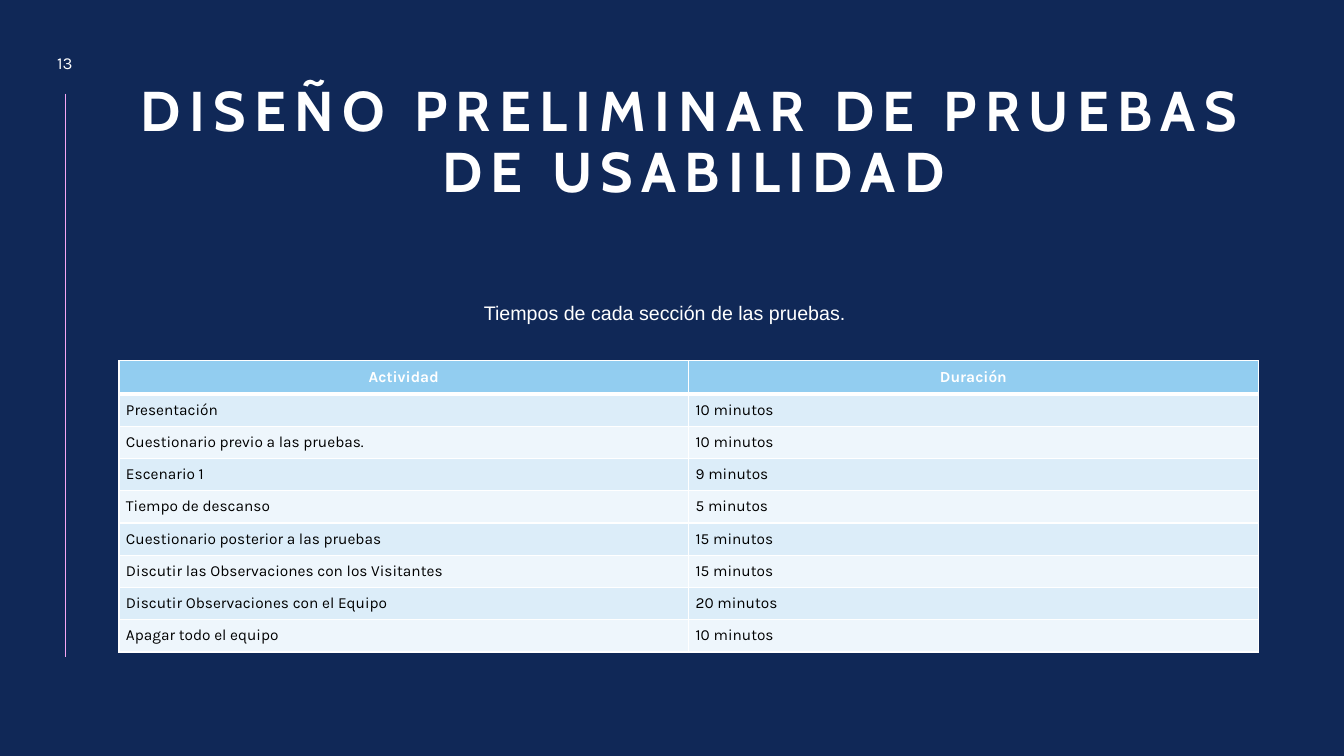
from dataclasses import dataclass
from lxml.etree import SubElement
from pptx import Presentation
from pptx.dml.color import RGBColor
from pptx.enum.shapes import MSO_CONNECTOR
from pptx.enum.text import MSO_ANCHOR, PP_ALIGN
from pptx.oxml.ns import qn
from pptx.util import Inches, Pt

TITLE = "DISEÑO PRELIMINAR DE PRUEBAS DE USABILIDAD"
CAPTION = "Tiempos de cada sección de las pruebas."
NUMBER = "13"
ROWS = [
    ("Actividad", "Duración"),
    ("Presentación", "10 minutos"),
    ("Cuestionario previo a las pruebas.", "10 minutos"),
    ("Escenario 1", "9 minutos"),
    ("Tiempo de descanso", "5 minutos"),
    ("Cuestionario posterior a las pruebas", "15 minutos"),
    ("Discutir las Observaciones con los Visitantes", "15 minutos"),
    ("Discutir Observaciones con el Equipo", "20 minutos"),
    ("Apagar todo el equipo", "10 minutos"),
]


@dataclass(frozen=True)
class Theme:
    back: str = "102857"
    white: str = "FFFFFF"
    black: str = "000000"
    rule: str = "F6A6F4"
    header: str = "92CDF0"
    bands: tuple = ("DCEDF9", "EEF6FC")
    title_size: int = 40
    caption_size: int = 14
    number_size: int = 12
    cell_size: int = 11
    title_font: str = "Cabin"
    body_font: str = "Karla"
    caption_font: str = "Arial"


T = Theme()


def write(tf, text, size, font, color=T.white, bold=False, align=PP_ALIGN.LEFT,
          anchor=MSO_ANCHOR.TOP, line=None, spacing=None):
    tf.word_wrap = True
    tf.vertical_anchor = anchor
    p = tf.paragraphs[0]
    p.alignment = align
    if line:
        p.line_spacing = line
    r = p.add_run()
    r.text = text
    r.font.size, r.font.name, r.font.bold = Pt(size), font, bold
    r.font.color.rgb = RGBColor.from_string(color)
    if spacing:
        r.font._element.set("spc", str(spacing * 100))


def set_borders(cell, bottom):
    tcPr = cell._tc.get_or_add_tcPr()
    for side, width in (("L", 1), ("R", 1), ("T", 1), ("B", bottom)):
        ln = SubElement(tcPr, qn(f"a:ln{side}"), w=str(Pt(width)))
        fill = SubElement(ln, qn("a:solidFill"))
        SubElement(fill, qn("a:srgbClr"), val=T.white)


def add_text(s, box, text, **fmt):
    tb = s.shapes.add_textbox(*map(Inches, box))
    write(tb.text_frame, text, **fmt)


def add_schedule(s):
    head_h, row_h, col_w = 0.33, 0.32, 5.65
    height = head_h + row_h * (len(ROWS) - 1)
    table = s.shapes.add_table(len(ROWS), 2, Inches(1.18), Inches(3.58),
                               Inches(col_w * 2), Inches(height)).table
    for i, row in enumerate(ROWS):
        head = i == 0
        table.rows[i].height = Inches(head_h if head else row_h)
        for j, text in enumerate(row):
            cell = table.cell(i, j)
            cell.margin_left = cell.margin_right = Inches(0.07)
            cell.margin_top = cell.margin_bottom = Inches(0.07)
            set_borders(cell, 3 if i == 0 else 1)
            cell.fill.solid()
            cell.fill.fore_color.rgb = RGBColor.from_string(
                T.header if head else T.bands[(i - 1) % 2])
            write(cell.text_frame, text, T.cell_size, T.body_font,
                  color=T.white if head else T.black, bold=head,
                  align=PP_ALIGN.CENTER if head else PP_ALIGN.LEFT)


def main():
    prs = Presentation()
    prs.slide_width, prs.slide_height = Inches(13.33), Inches(7.5)
    s = prs.slides.add_slide(prs.slide_layouts[5])
    s.background.fill.solid()
    s.background.fill.fore_color.rgb = RGBColor.from_string(T.back)

    rule = s.shapes.add_connector(MSO_CONNECTOR.STRAIGHT, Inches(0.65), Inches(0.93),
                                  Inches(0.65), Inches(6.52))
    rule.line.color.rgb = RGBColor.from_string(T.rule)
    rule.line.width = Pt(0.5)
    SubElement(rule._element.spPr, qn("a:effectLst"))

    title = s.shapes.title
    title.left, title.top, title.width, title.height = map(Inches, (0.93, 0.91, 11.9, 1.17))
    write(title.text_frame, TITLE, T.title_size, T.title_font, bold=True,
          align=PP_ALIGN.CENTER, anchor=MSO_ANCHOR.BOTTOM, line=0.9, spacing=6)

    add_schedule(s)
    add_text(s, (0.36, 0.45, 0.57, 0.34), NUMBER, size=T.number_size, font=T.body_font,
             align=PP_ALIGN.CENTER, anchor=MSO_ANCHOR.MIDDLE)
    add_text(s, (4.7, 2.94, 4.26, 0.64), CAPTION, size=T.caption_size, font=T.caption_font)
    prs.save("out.pptx")


if __name__ == "__main__":
    main()
